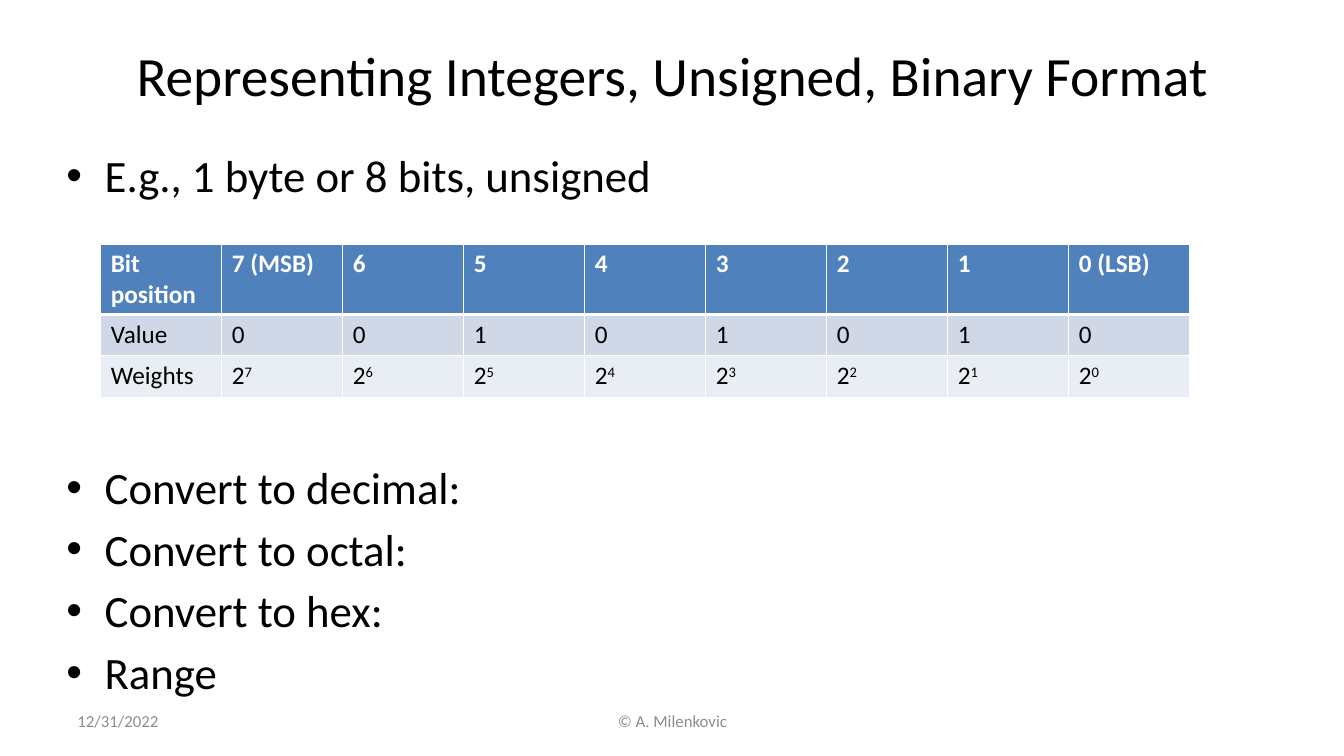
"""Build the slide on unsigned binary integers."""
from lxml import etree
from pptx import Presentation
from pptx import util as u
from pptx.dml.color import RGBColor
from pptx.enum import text
from pptx.oxml import ns

THEME = {
    "font": "Calibri",
    "ink": "000000", "white": "FFFFFF", "muted": "8C8C8C",
    "header": "4F81BD", "value": "D0D8E8", "weight": "E9EDF4",
    "title_size": 39.6, "body_size": 32, "table_size": 18, "footer_size": 12,
}


def add_span(para, words, color, size, **extra):
    """Add a formatted run to a paragraph."""
    span = para.add_run()
    span.text = words
    span.font.color.rgb = RGBColor.from_string(THEME[color])
    settings = {"name": THEME["font"], "size": u.Pt(THEME[size]), **extra}
    for name, value in settings.items():
        setattr(span.font, name, value)
    return span


def add_box(slide, left, top, width, height, anchor):
    """Add a wrapping text box and return its text frame."""
    box = slide.shapes.add_textbox(*map(u.Inches, (left, top, width, height)))
    box.text_frame.word_wrap = True
    box.text_frame.vertical_anchor = anchor
    return box.text_frame


deck = Presentation()
deck.slide_width, deck.slide_height = u.Inches(13.33), u.Inches(7.5)
slide = deck.slides.add_slide(deck.slide_layouts[5])

title = slide.shapes.title
place = {"left": 0.67, "top": 0.3, "width": 12, "height": 0.87}
for name, value in place.items():
    setattr(title, name, u.Inches(value))
title.text_frame.auto_size = text.MSO_AUTO_SIZE.NONE
title.text_frame.vertical_anchor = text.MSO_ANCHOR.MIDDLE
heading = title.text_frame.paragraphs[0]
heading.alignment = text.PP_ALIGN.CENTER
add_span(heading, "Representing Integers, Unsigned, Binary Format", "ink", "title_size")

bullets = [
    ("E.g., 1 byte or 8 bits, unsigned", 5.6),
    ("Convert to decimal:", 184.2),
    ("Convert to octal:", 5.6),
    ("Convert to hex:", 5.6),
    ("Range", 5.6),
]
body = add_box(slide, 0.56, 1.42, 12, 5.53, text.MSO_ANCHOR.TOP)
for index, (words, gap) in enumerate(bullets):
    para = body.add_paragraph() if index else body.paragraphs[0]
    para.space_before = u.Pt(gap)
    add_span(para, words, "ink", "body_size")
    props = para._p.get_or_add_pPr()
    props.set("marL", str(u.Inches(0.38)))
    props.set("indent", str(-u.Inches(0.38)))
    etree.SubElement(props, ns.qn("a:buFont"), typeface="Arial")
    etree.SubElement(props, ns.qn("a:buChar"), char="•")

footers = [
    ("12/31/2022", 0.67, 3.11, text.PP_ALIGN.LEFT),
    ("© A. Milenkovic", 4.56, 4.22, text.PP_ALIGN.CENTER),
]
for words, left, width, align in footers:
    para = add_box(slide, left, 6.95, width, 0.4, text.MSO_ANCHOR.MIDDLE).paragraphs[0]
    para.alignment = align
    add_span(para, words, "muted", "footer_size")

bits = range(7, -1, -1)
marks = {7: "7 (MSB)", 0: "0 (LSB)"}
rows = [
    ("header", 0.7, ["Bit position", *(marks.get(bit, str(bit)) for bit in bits)]),
    ("value", 0.41, ["Value", *"00101010"]),
    ("weight", 0.41, ["Weights", *"2" * 8]),
]
frame = slide.shapes.add_table(
    3, 9, u.Inches(1), u.Inches(2.42), u.Inches(10.8), u.Inches(1.52))
table = frame.table
for column in table.columns:
    column.width = u.Inches(1.2)
for row_index, (kind, height, labels) in enumerate(rows):
    table.rows[row_index].height = u.Inches(height)
    is_header = kind == "header"
    for column_index, label in enumerate(labels):
        cell = table.cell(row_index, column_index)
        cell.fill.solid()
        cell.fill.fore_color.rgb = RGBColor.from_string(THEME[kind])
        para = cell.text_frame.paragraphs[0]
        color = "white" if is_header else "ink"
        add_span(para, label, color, "table_size", bold=is_header)
        if kind == "weight" and column_index:
            power = add_span(para, str(8 - column_index), color, "table_size", bold=False)
            power._r.get_or_add_rPr().set("baseline", "30000")
        props = cell._tc.get_or_add_tcPr()
        for position, side in enumerate(("lnL", "lnR", "lnT", "lnB")):
            heavy = (is_header and side == "lnB") or (row_index == 1 and side == "lnT")
            line = etree.Element(ns.qn(f"a:{side}"), w=str(u.Pt(3 if heavy else 1)))
            paint = etree.SubElement(line, ns.qn("a:solidFill"))
            etree.SubElement(paint, ns.qn("a:srgbClr"), val=THEME["white"])
            props.insert(position, line)

deck.save("out.pptx")
